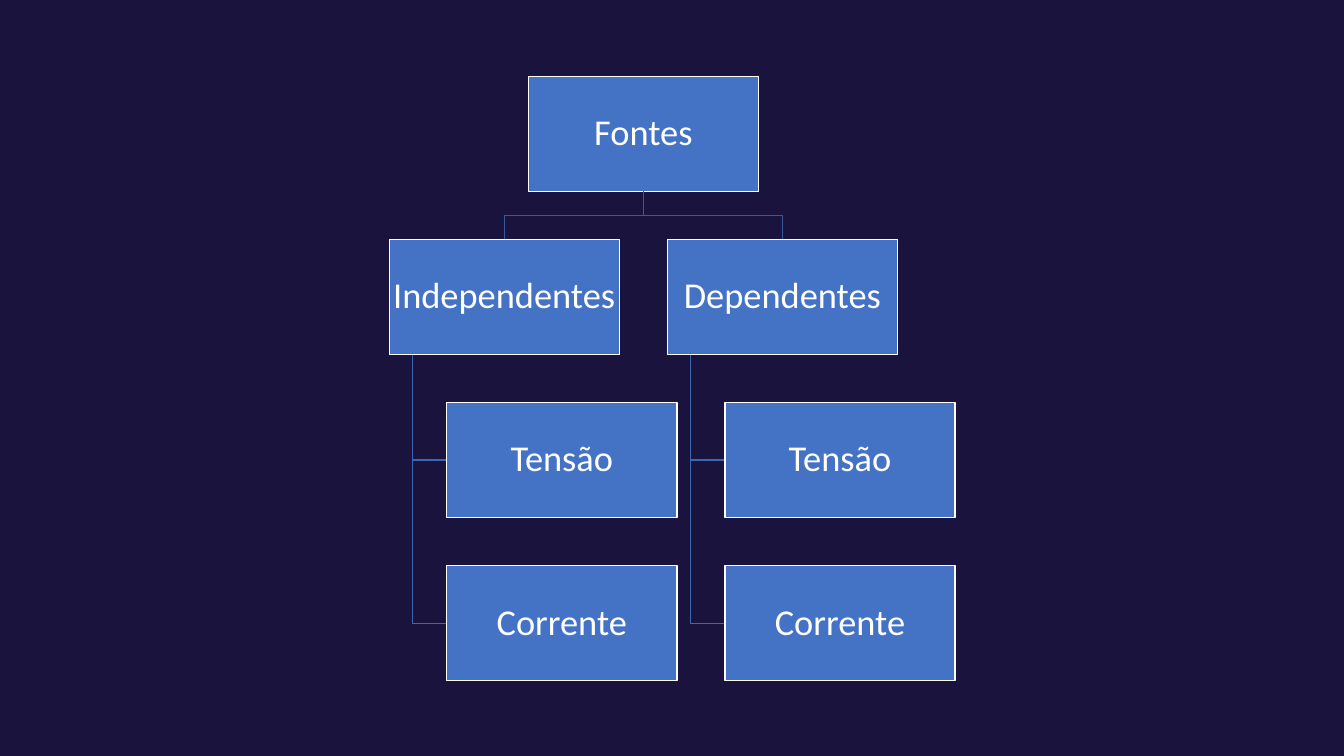
from pptx import Presentation
from pptx.dml.color import RGBColor
from pptx.enum.shapes import MSO_SHAPE
from pptx.enum.text import MSO_ANCHOR, PP_ALIGN
from pptx.util import Pt

RECTANGLE = MSO_SHAPE.RECTANGLE
MIDDLE = MSO_ANCHOR.MIDDLE
CENTER = PP_ALIGN.CENTER

NIGHT = RGBColor(0x19, 0x13, 0x3E)
BLUE = RGBColor(0x44, 0x72, 0xC4)
WHITE = RGBColor(0xFF, 0xFF, 0xFF)
UPPER_BRANCH = RGBColor(0x36, 0x5B, 0x9D)
LOWER_BRANCH = RGBColor(0x3E, 0x67, 0xB2)

# Tree measures in points
BOX_W, BOX_H = 164.4, 82.2
GAP = 34.3
COLUMN_STEP = BOX_W + GAP
ROW_STEP = BOX_H + GAP
CENTER_X, TOP = 459.6, 54.6
TRUNK_INDENT = BOX_W / 10
LEAF_INDENT = BOX_W / 4

prs = Presentation()
prs.slide_width, prs.slide_height = Pt(960), Pt(540)
slide = prs.slides.add_slide(prs.slide_layouts[6])
slide.background.fill.solid()
slide.background.fill.fore_color.rgb = NIGHT


def add_box(text, left, top, size=26, font="Calibri", color=WHITE, fill=BLUE):
    box = slide.shapes.add_shape(RECTANGLE, Pt(left), Pt(top), Pt(BOX_W), Pt(BOX_H))
    box.shadow.inherit = False
    box.fill.solid()
    box.fill.fore_color.rgb = fill
    box.line.color.rgb = WHITE
    box.line.width = Pt(1)
    frame = box.text_frame
    frame.word_wrap = True
    frame.vertical_anchor = MIDDLE
    frame.margin_left = frame.margin_right = Pt(1.3)
    frame.margin_top = frame.margin_bottom = Pt(1.3)
    paragraph = frame.paragraphs[0]
    paragraph.alignment = CENTER
    paragraph.line_spacing = 0.9
    run = paragraph.add_run()
    run.text = text
    run.font.size = Pt(size)
    run.font.name = font
    run.font.color.rgb = color


def add_branch(points, color):
    corners = [(Pt(x), Pt(y)) for x, y in points]
    builder = slide.shapes.build_freeform(*corners[0])
    builder.add_line_segments(corners[1:], close=False)
    branch = builder.convert_to_shape()
    branch.shadow.inherit = False
    branch.fill.background()
    branch.line.color.rgb = color
    branch.line.width = Pt(1)


# Root of the tree
add_box("Fontes", CENTER_X - BOX_W / 2, TOP)

# The two kinds of source, each with its leaves
kind_top = TOP + ROW_STEP
for column, kind in enumerate(["Independentes", "Dependentes"]):
    kind_x = CENTER_X + (column - 0.5) * COLUMN_STEP
    kind_left = kind_x - BOX_W / 2
    fork_y = kind_top - GAP / 2
    add_branch([(CENTER_X, TOP + BOX_H), (CENTER_X, fork_y),
                (kind_x, fork_y), (kind_x, kind_top)], UPPER_BRANCH)
    add_box(kind, kind_left, kind_top)

    trunk_x = kind_left + TRUNK_INDENT
    leaf_left = kind_left + LEAF_INDENT
    for row, quantity in enumerate(["Tensão", "Corrente"], start=1):
        leaf_top = kind_top + row * ROW_STEP
        leaf_y = leaf_top + BOX_H / 2
        add_branch([(trunk_x, kind_top + BOX_H), (trunk_x, leaf_y),
                    (leaf_left, leaf_y)], LOWER_BRANCH)
        add_box(quantity, leaf_left, leaf_top)

prs.save("out.pptx")
